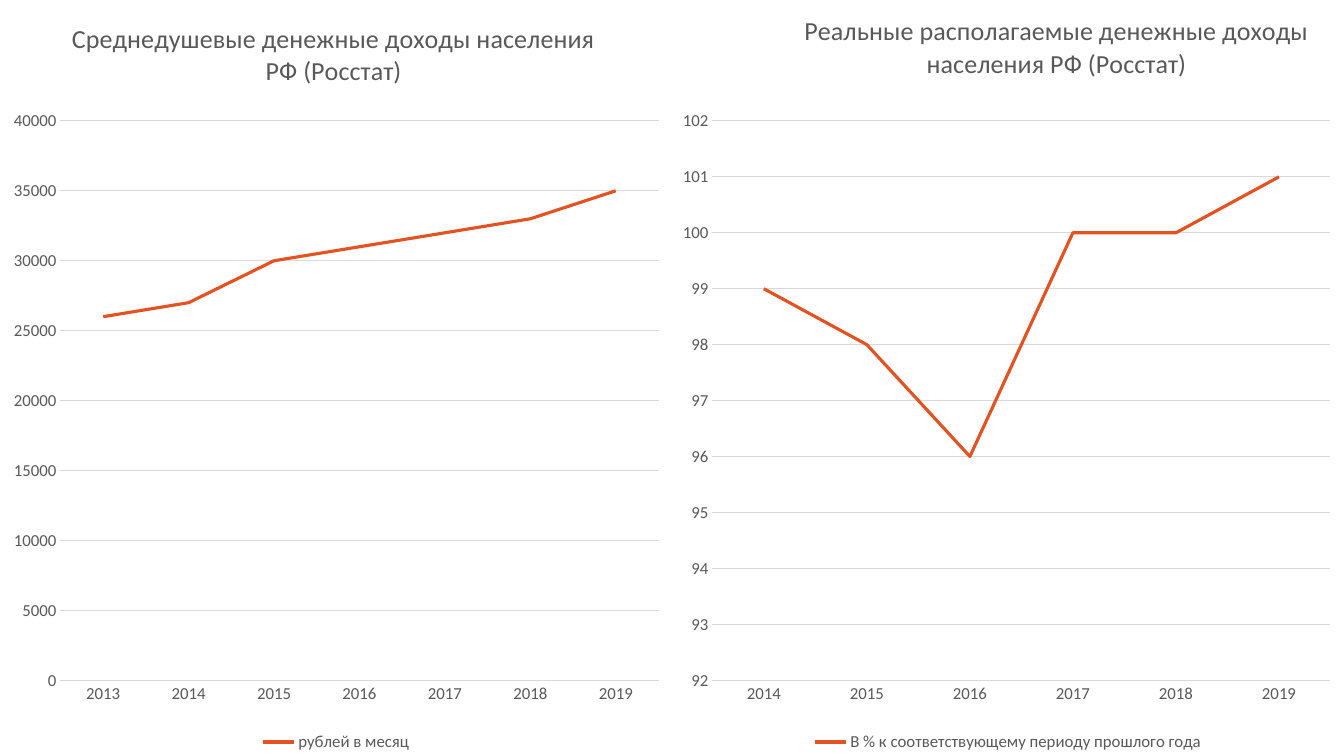
from lxml import etree
from pptx import Presentation
from pptx.chart.data import CategoryChartData
from pptx.dml.color import RGBColor
from pptx.enum.chart import XL_CHART_TYPE, XL_LEGEND_POSITION, XL_TICK_MARK
from pptx.oxml.ns import qn
from pptx.util import Inches, Pt

LINE = XL_CHART_TYPE.LINE
BOTTOM = XL_LEGEND_POSITION.BOTTOM
NO_TICK = XL_TICK_MARK.NONE
GRAY = RGBColor(0x59, 0x59, 0x59)
PALE = RGBColor(0xD9, 0xD9, 0xD9)
ORANGE = RGBColor(0xE4, 0x52, 0x21)
FONT = "Calibri"
WIDE, HIGH = 13.33, 7.5

CHARTS = [
    {
        "title": "Среднедушевые денежные доходы населения РФ (Росстат)",
        "name": "рублей в месяц",
        "start": 2013,
        "vals": [26000, 27000, 30000, 31000, 32000, 33000, 35000],
        "scale": (0, 40000, 5000),
        "spot": (0.1, 0.02),
        "plot": (0.09, 0.16, 0.89, 0.74),
    },
    {
        "title": "Реальные располагаемые денежные доходы населения РФ (Росстат)",
        "name": "В % к соответствующему периоду прошлого года",
        "start": 2014,
        "vals": [99, 98, 96, 100, 100, 101],
        "scale": (92, 102, 1),
        "spot": (0.19, 0.01),
        "plot": (0.06, 0.16, 0.92, 0.74),
    },
]


def style(font, size):
    font.name = FONT
    font.size = Pt(size)
    font.bold = False
    font.color.rgb = GRAY


def rule(line):
    line.color.rgb = PALE
    line.width = Pt(0.75)


def place(part, box, inner=False):
    for old in part.findall(qn("c:layout")):
        part.remove(old)
    layout = etree.Element(qn("c:layout"))
    manual = etree.SubElement(layout, qn("c:manualLayout"))
    pairs = [("layoutTarget", "inner")] if inner else []
    pairs += [("xMode", "edge"), ("yMode", "edge")]
    pairs += zip("xywh", box)
    for tag, val in pairs:
        etree.SubElement(manual, qn("c:" + tag)).set("val", str(val))
    part.insert(0 if inner else 1, layout)


def draw(slide, item, left):
    data = CategoryChartData()
    data.categories = [str(item["start"] + i) for i in range(len(item["vals"]))]
    data.add_series(item["name"], item["vals"])
    chart = slide.shapes.add_chart(
        LINE, Inches(left), 0, Inches(WIDE / 2), Inches(HIGH), data
    ).chart
    style(chart.font, 12)

    chart.has_title = True
    para = chart.chart_title.text_frame.paragraphs[0]
    para.text = item["title"]
    style(para.runs[0].font, 18.6)
    space = chart._chartSpace.chart
    place(space.find(qn("c:title")), item["spot"])
    place(space.plotArea, item["plot"], True)

    chart.has_legend = True
    chart.legend.position = BOTTOM
    chart.legend.include_in_layout = False
    style(chart.legend.font, 12)

    years, scale = chart.category_axis, chart.value_axis
    for axis in (years, scale):
        axis.major_tick_mark = axis.minor_tick_mark = NO_TICK
        style(axis.tick_labels.font, 12)
    rule(years.format.line)
    scale.format.line.fill.background()
    rule(scale.major_gridlines.format.line)
    scale.minimum_scale, scale.maximum_scale, scale.major_unit = item["scale"]
    scale.tick_labels.number_format = "0"
    scale.tick_labels.number_format_is_linked = False

    chart.plots[0].vary_by_categories = False
    curve = chart.plots[0].series[0]
    curve.smooth = False
    curve.format.line.color.rgb = ORANGE
    curve.format.line.width = Pt(2.25)


def main():
    deck = Presentation()
    deck.slide_width, deck.slide_height = Inches(WIDE), Inches(HIGH)
    slide = deck.slides.add_slide(deck.slide_layouts[6])
    for i, item in enumerate(CHARTS):
        draw(slide, item, i * WIDE / 2)
    deck.save("out.pptx")


if __name__ == "__main__":
    main()
